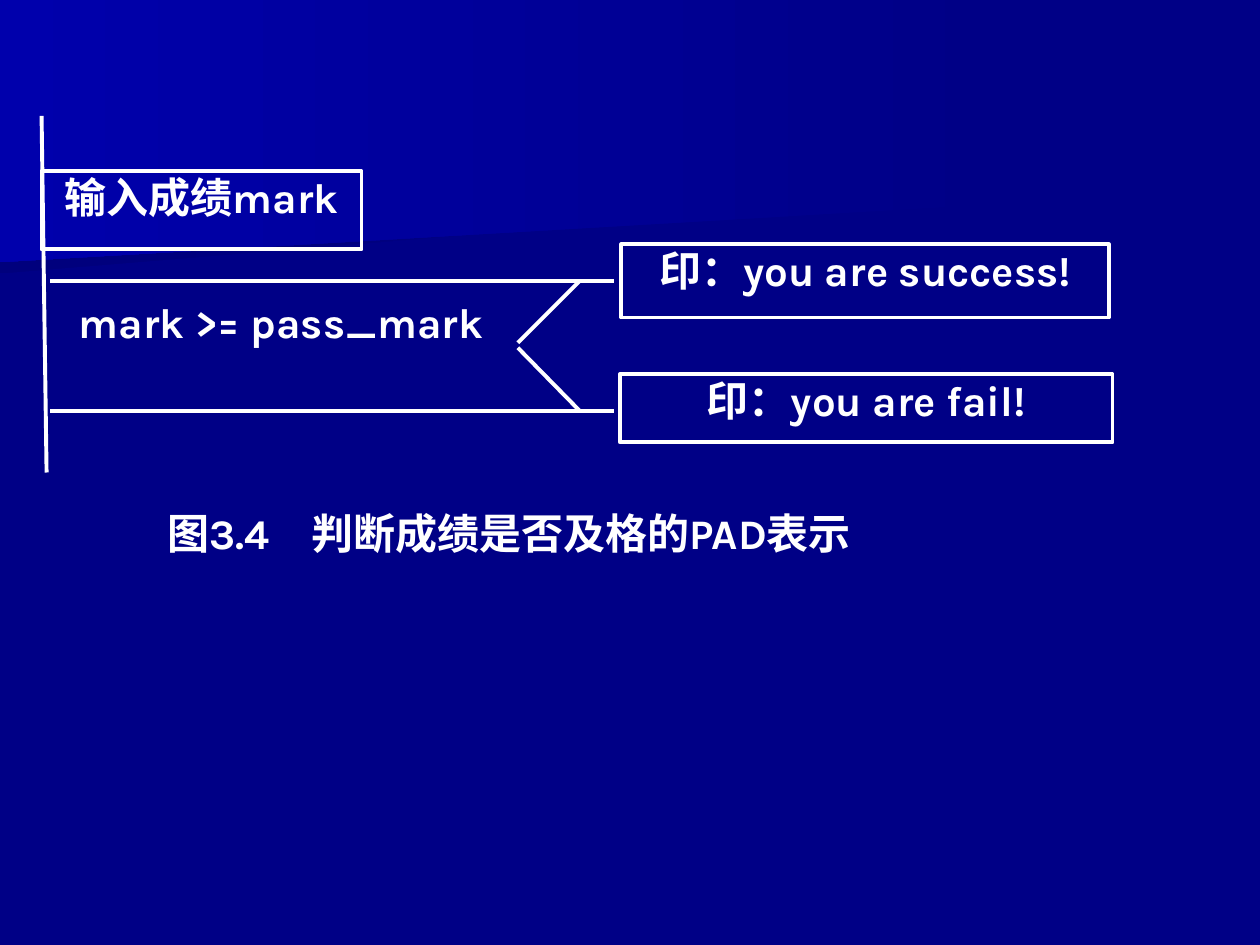
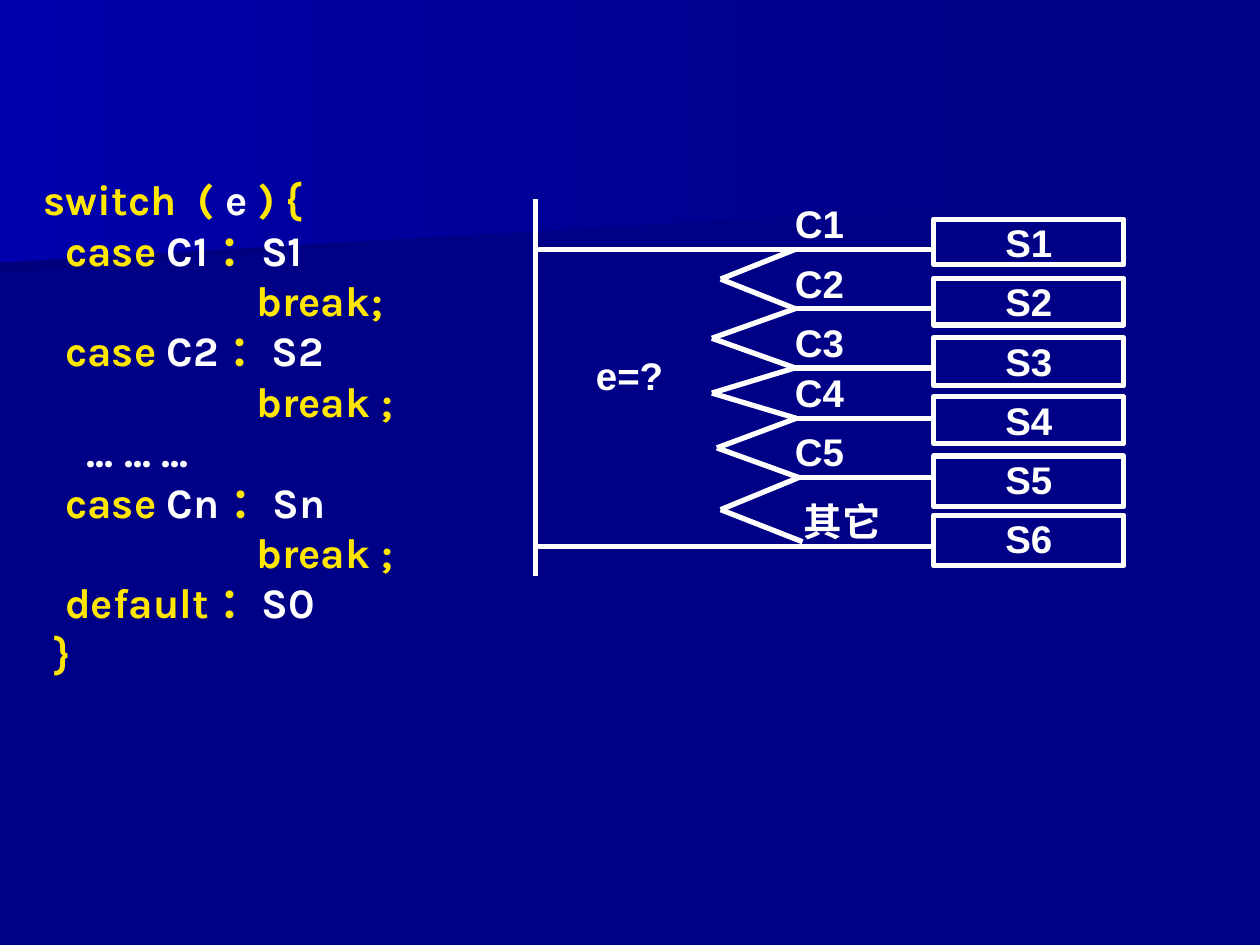
import itertools

import pptx
import pptx.dml.color
import pptx.enum.shapes
import pptx.enum.text
import pptx.oxml
import pptx.oxml.ns
import pptx.util

Inches = pptx.util.Inches
Pt = pptx.util.Pt
ALIGN = pptx.enum.text.PP_ALIGN
SHAPE = pptx.enum.shapes.MSO_SHAPE
STRAIGHT = pptx.enum.shapes.MSO_CONNECTOR.STRAIGHT

HUES = {
    "ground": "000086",
    "glow": "0000AC",
    "shade": "00007D",
    "ink": "FFFFFF",
    "key": "FFE701",
}
KARLA = {"name": "Karla", "size": Pt(24), "bold": True}
ARIAL = {"name": "Arial", "size": Pt(22), "bold": True}
FRAME = {
    "word_wrap": True,
    "vertical_anchor": pptx.enum.text.MSO_ANCHOR.TOP,
    "auto_size": pptx.enum.text.MSO_AUTO_SIZE.NONE,
}
SIDES = ("left", "top", "right", "bottom")

# Each line alternates keyword colour and plain colour.
CODE = [
    ["switch  ( ", "e", " ) {"],
    ["  case ", "C1 ", "：", "S1"],
    ["                    break;"],
    ["  case", " C2 ", "：", "S2"],
    ["                    break ;"],
    ["", "    ... ... ..."],
    ["  case ", "Cn ", "：", "Sn"],
    ["                    break ;"],
    ["  default ：", "S0"],
    [" }"],
]

# Label, height of its rail, point where the zigzag meets it, box height
CASES = [
    ("C1", 1.98, (6.31, 1.98), 0.36),
    ("C2", 2.45, (6.31, 2.45), 0.37),
    ("C3", 2.92, (6.31, 2.92), 0.38),
    ("C4", 3.32, (6.32, 3.32), 0.37),
    ("C5", 3.79, (6.34, 3.79), 0.4),
    ("其它", 4.34, (6.37, 4.3), 0.4),
]
NOTCHES = [5.72, 5.65, 5.65, 5.69, 5.72]


def hue(name):
    return pptx.dml.color.RGBColor.from_string(HUES[name])


def style(thing, form):
    for name, value in form.items():
        setattr(thing, name, value)


def write(shape, lines, form, align, pads=(0, 0)):
    """Fill a shape with lines, each a list of (text, colour name) runs."""
    frame = shape.text_frame
    style(frame, FRAME)
    for side, pad in zip(SIDES, itertools.cycle(pads)):
        setattr(frame, f"margin_{side}", Inches(pad))
    for i, runs in enumerate(lines):
        par = frame.add_paragraph() if i else frame.paragraphs[0]
        par.alignment = align
        for text, name in runs:
            run = par.add_run()
            run.text = text
            style(run.font, form)
            run.font.color.rgb = hue(name)
    return frame


def label(slide, text, place, form, align=ALIGN.LEFT, pads=(0, 0)):
    shape = slide.shapes.add_textbox(*map(Inches, place))
    write(shape, [[(text, "ink")]], form, align, pads)


def box(slide, text, place, form, width):
    shape = slide.shapes.add_shape(SHAPE.RECTANGLE, *map(Inches, place))
    shape.shadow.inherit = False
    shape.fill.background()
    shape.line.color.rgb = hue("ink")
    shape.line.width = Pt(width)
    write(shape, [[(text, "ink")]], form, ALIGN.CENTER)


def line(slide, start, end, width):
    wire = slide.shapes.add_connector(STRAIGHT, *map(Inches, (*start, *end)))
    wire.line.color.rgb = hue("ink")
    wire.line.width = Pt(width)
    flat = pptx.oxml.parse_xml(f"<a:effectLst {pptx.oxml.ns.nsdecls('a')}/>")
    wire.element.spPr.append(flat)


def band(slide, layout, points, name):
    """Draw a gradient band and hand it over to the layout."""
    pen = slide.shapes.build_freeform(
        *map(Inches, points[0]), scale=1.0)
    pen.add_line_segments([tuple(map(Inches, p)) for p in points[1:]])
    shape = pen.convert_to_shape()
    shape.shadow.inherit = False
    shape.line.fill.background()
    shape.fill.gradient()
    shape.fill.gradient_angle = 180
    for stop, place, tone in zip(shape.fill.gradient_stops, (0, 1),
                                 ("ground", name)):
        stop.position = place
        stop.color.rgb = hue(tone)
    layout.shapes.element.append(shape.element)


def backdrop(slide, layout):
    fill = layout.background.fill
    fill.solid()
    fill.fore_color.rgb = hue("ground")
    band(slide, layout,
         [(0, 1.01), (7.79, 1.01), (7.78, 1.53), (0, 2.17)], "shade")
    band(slide, layout, [(0, 0), (7.92, 0), (7.92, 1.62), (0, 2.08)], "glow")


def mark_chart(slide):
    """PAD chart that tests a mark against the pass mark."""
    label(slide, "图3.4　判断成绩是否及格的PAD表示", (1.11, 3.98, 5.86, 1.1),
          KARLA, ALIGN.CENTER, (0.1, 0.05))
    line(slide, (0.33, 0.92), (0.37, 3.75), 2.25)
    for text, place in [
        ("印：you are success!", (4.93, 1.94, 3.87, 0.58)),
        ("印：you are fail!", (4.92, 2.97, 3.91, 0.54)),
        ("输入成绩mark", (0.33, 1.36, 2.54, 0.62)),
    ]:
        box(slide, text, place, KARLA, 2.25)
    label(slide, "mark >= pass_mark", (0.62, 2.35, 3.22, 0.58),
          KARLA, ALIGN.CENTER)
    for rail, notch in ((2.23, 2.72), (3.26, 2.76)):
        line(slide, (0.4, rail), (4.87, rail), 2.25)
        line(slide, (4.6, rail), (4.11, notch), 2.25)


def listing(slide):
    shape = slide.shapes.add_textbox(*map(Inches, (0.25, 1.33, 5, 4.1)))
    lines = [
        [run for run in zip(texts, itertools.cycle(("key", "ink"))) if run[0]]
        for texts in CODE
    ]
    frame = write(shape, lines, KARLA, ALIGN.LEFT, (0.1, 0.05))
    for par in frame.paragraphs:
        par.line_spacing = Pt(28.8)


def case_chart(slide):
    """PAD chart with one rail and one box for each case."""
    stem, edge = 4.25, 7.41
    line(slide, (stem, 1.58), (stem, 4.57), 3)
    label(slide, "e=?", (4.73, 2.79, 0.75, 0.39), ARIAL)
    ends = (0, len(CASES) - 1)
    for i, (text, rail, tip, height) in enumerate(CASES):
        start = stem if i in ends else tip[0]
        line(slide, (start, rail), (edge, rail), 3)
        left = 6.38 if i == ends[1] else 6.31
        label(slide, text, (left, rail - 0.39, 0.73, 0.32), ARIAL)
        box(slide, f"S{i + 1}", (edge, 1.74 + 0.47 * i, 1.51, height),
            ARIAL, 3)
    tips = [case[2] for case in CASES]
    for x, upper, lower in zip(NOTCHES, tips, tips[1:]):
        notch = (x, (upper[1] + lower[1]) / 2)
        line(slide, upper, notch, 3)
        line(slide, notch, lower, 3)


def main():
    deck = pptx.Presentation()
    deck.slide_width = Inches(10)
    deck.slide_height = Inches(7.5)
    blank = deck.slide_layouts[6]
    first, second = (deck.slides.add_slide(blank) for _ in range(2))
    backdrop(first, blank)
    mark_chart(first)
    listing(second)
    case_chart(second)
    deck.save("out.pptx")


if __name__ == "__main__":
    main()
